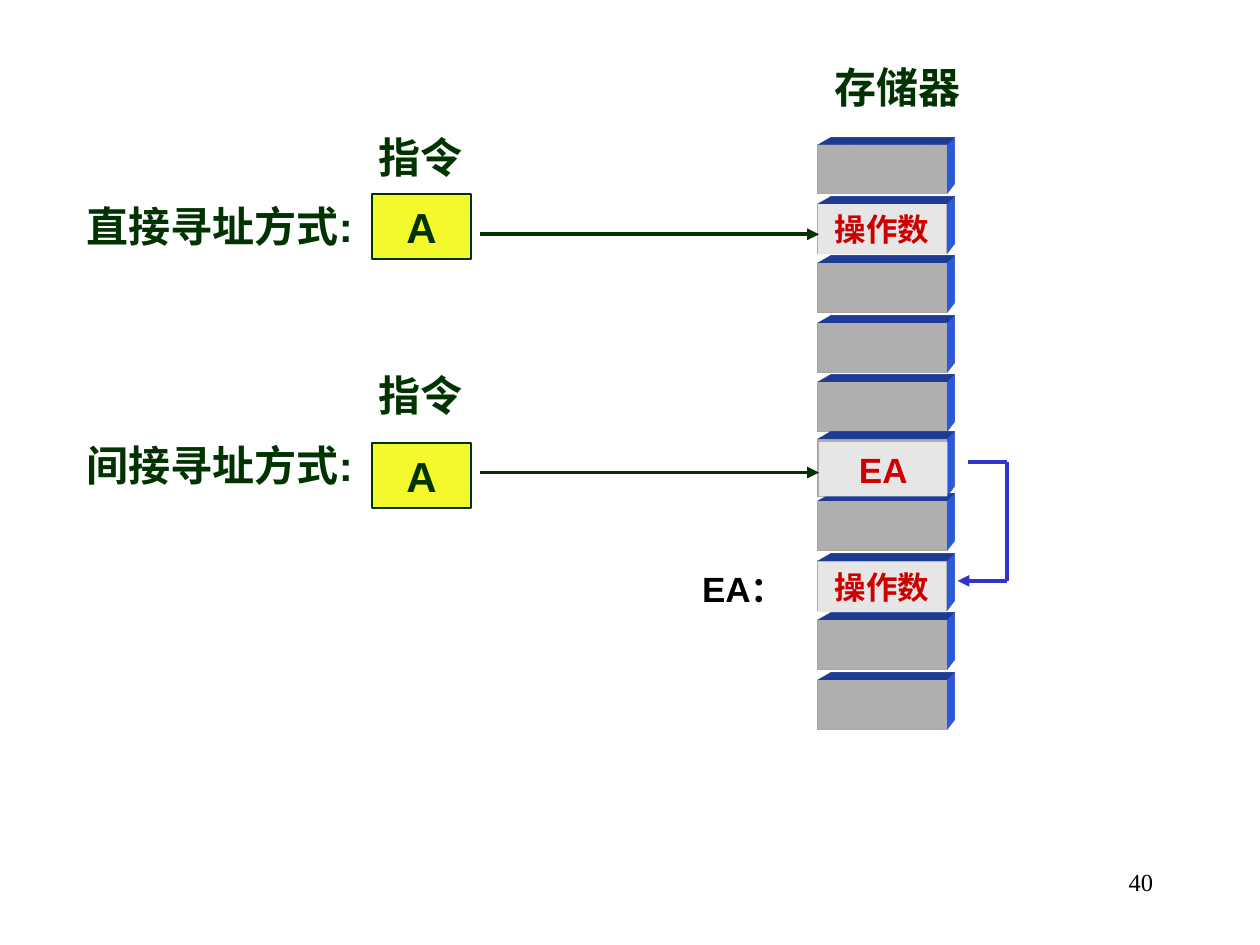
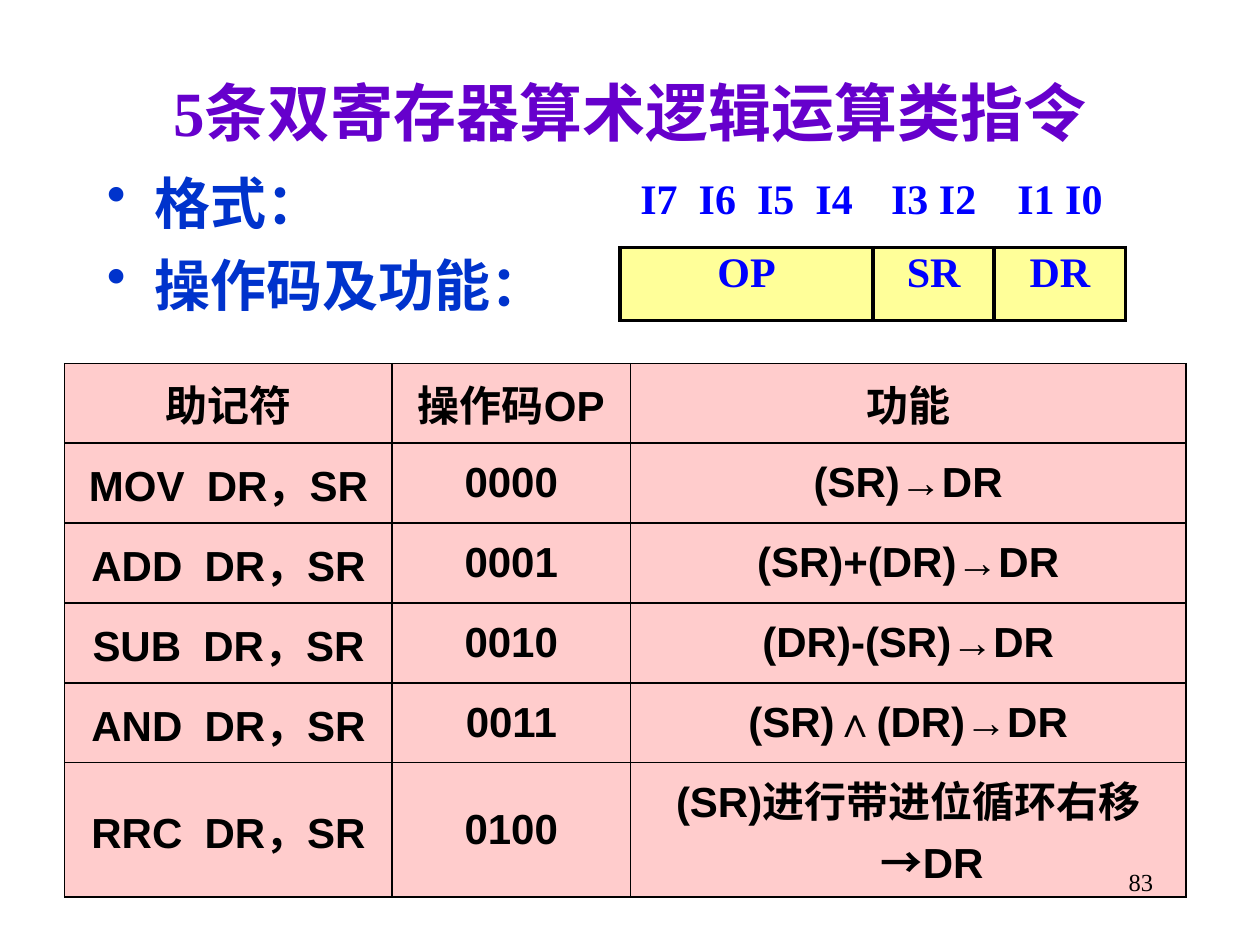
from lxml.etree import SubElement
from pptx import Presentation
from pptx.dml.color import RGBColor
from pptx.enum.lang import MSO_LANGUAGE_ID
from pptx.enum.shapes import MSO_CONNECTOR, MSO_SHAPE
from pptx.enum.text import MSO_ANCHOR, PP_ALIGN
from pptx.oxml.ns import qn
from pptx.util import Emu, Inches, Pt

GREEN = RGBColor(0x00, 0x33, 0x00)
RED = RGBColor(0xCC, 0x00, 0x00)
BLACK = RGBColor(0x00, 0x00, 0x00)
PURPLE = RGBColor(0x66, 0x00, 0xCC)
HEADING_BLUE = RGBColor(0x00, 0x33, 0xCC)
BIT_BLUE = RGBColor(0x00, 0x00, 0xFF)
POINTER_BLUE = RGBColor(0x33, 0x33, 0xCC)
DEPTH_BLUE = RGBColor(0x33, 0x66, 0xFF)
YELLOW = RGBColor(0xF4, 0xF9, 0x2D)
PALE_YELLOW = RGBColor(0xFF, 0xFF, 0x99)
PINK = RGBColor(0xFF, 0xCC, 0xCC)
LIGHT_GREY = RGBColor(0xE6, 0xE6, 0xE6)
SANS, SERIF = "Arial", "Times New Roman"

# The slide is a grid of 100 columns by 75 rows with square cells
prs = Presentation()
prs.slide_width, prs.slide_height = Inches(10), Inches(7.5)
UNIT = prs.slide_width / 100


def grid(*lengths):
    return [Emu(round(length * UNIT)) for length in lengths]


def write(frame, text, size=24, color=GREEN, font=SANS, bold=True,
          align=PP_ALIGN.CENTER, anchor=MSO_ANCHOR.TOP, hanging=0,
          bullet=None, line_spacing=None, gap=0, word_gap=0):
    """Fill a frame, one paragraph a line; word_gap widens spaces, in points."""
    frame.word_wrap = True
    frame.vertical_anchor = anchor
    for number, line in enumerate(text.split("\n")):
        paragraph = frame.add_paragraph() if number else frame.paragraphs[0]
        props = paragraph._p.get_or_add_pPr()
        if hanging:
            indent, = grid(hanging)
            props.set("marL", str(indent))
            props.set("indent", str(-indent))
        if bullet:
            SubElement(props, qn("a:buChar")).set("char", bullet)
        paragraph.alignment = align
        paragraph.line_spacing = line_spacing
        paragraph.space_before = Pt(gap if number else 0)
        pieces = line.replace(" ", "| |").split("|") if word_gap else [line]
        for piece in pieces:
            run = paragraph.add_run()
            run.text = piece
            run.font.size, run.font.bold, run.font.name = Pt(size), bold, font
            run.font.color.rgb = color
            run.font.language_id = MSO_LANGUAGE_ID.SIMPLIFIED_CHINESE
            if piece == " ":
                run._r.get_or_add_rPr().set("spc", str(word_gap * 100))


blank = prs.slide_layouts[6]
addressing = prs.slides.add_slide(blank)
registers = prs.slides.add_slide(blank)

# Memory: a stack of ten extruded blocks
FRONT_LEFT, FRONT_WIDTH, FRONT_HEIGHT = 64.9, 10.2, 3.9
FIRST_BLOCK, BLOCK_PITCH = 11.5, 4.72
POINTER_BLOCK = 5
for number in range(10):
    top, height = FIRST_BLOCK + number * BLOCK_PITCH, FRONT_HEIGHT
    if number == POINTER_BLOCK:
        top, height = top - 0.2, 4.5
    block = addressing.shapes.add_shape(
        MSO_SHAPE.RECTANGLE, *grid(FRONT_LEFT, top, FRONT_WIDTH, height))
    block.fill.solid()
    block.fill.fore_color.rgb = LIGHT_GREY
    block.line.fill.background()
    block.shadow.inherit = False
    scene = SubElement(block._element.spPr, qn("a:scene3d"))
    SubElement(scene, qn("a:camera")).set("prst", "legacyPerspectiveTopRight")
    light = SubElement(scene, qn("a:lightRig"))
    light.set("rig", "legacyFlat3")
    light.set("dir", "b")
    solid = SubElement(block._element.spPr, qn("a:sp3d"))
    solid.set("extrusionH", "430200")
    solid.set("prstMaterial", "legacyMatte")
    for bevel in ("a:bevelT", "a:bevelB"):
        rim = SubElement(solid, qn(bevel))
        rim.set("w", "13500")
        rim.set("h", "13500")
        rim.set("prst", "angle")
    depth = SubElement(solid, qn("a:extrusionClr"))
    SubElement(depth, qn("a:srgbClr")).set("val", str(DEPTH_BLUE))

# Instruction addresses and memory contents
OPERAND = dict(size=18, color=RED)
ADDRESS = dict(anchor=MSO_ANCHOR.MIDDLE)
for text, place, fill, border, style in [
    ("A", (29.5, 15.4, 7.9, 5.15), YELLOW, GREEN, ADDRESS),
    ("A", (29.5, 35.15, 7.9, 5.15), YELLOW, GREEN, ADDRESS),
    ("操作数", (FRONT_LEFT, 16.2, FRONT_WIDTH, 4), LIGHT_GREY, None, OPERAND),
    ("EA", (65, 35.1, FRONT_WIDTH, 4.3), LIGHT_GREY, None,
     dict(size=20, color=RED)),
    ("操作数", (FRONT_LEFT, 44.6, FRONT_WIDTH, 4), LIGHT_GREY, None, OPERAND),
]:
    field = addressing.shapes.add_shape(MSO_SHAPE.RECTANGLE, *grid(*place))
    field.shadow.inherit = False
    field.fill.solid()
    field.fill.fore_color.rgb = fill
    if border:
        field.line.color.rgb, field.line.width = border, Pt(1)
    else:
        field.line.fill.background()
    write(field.text_frame, text, **style)

# Access arrows, and the pointer path from EA to its operand
for start, end, color, has_head in [
    ((38.1, 18.6), (65, 18.6), GREEN, True),
    ((38.1, 37.5), (65, 37.5), GREEN, True),
    ((76.8, 36.7), (79.9, 36.7), POINTER_BLUE, False),
    ((79.9, 36.7), (79.9, 46.1), POINTER_BLUE, False),
    ((79.9, 46.1), (76, 46.1), POINTER_BLUE, True),
]:
    arrow = addressing.shapes.add_connector(
        MSO_CONNECTOR.STRAIGHT, *grid(*start, *end))
    arrow.line.color.rgb, arrow.line.width = color, Pt(2.25)
    if has_head:
        SubElement(arrow.line._get_or_add_ln(), qn("a:tailEnd")).set("type", "triangle")
    SubElement(arrow._element.spPr, qn("a:effectLst"))

# Opcode format and instruction set tables; the first column has wide word gaps
FORMAT = dict(
    place=(49.2, 13.85), widths=(20.1, 9.6, 10.45), heights=(5.8, 5.8),
    rows=[("I7 I6 I5 I4", "I3 I2", "I1 I0"), ("OP", "SR", "DR")],
    fills=[None, PALE_YELLOW], sides=["B", "LRTB"], border=2.25, margin=0.2,
    text=dict(font=SERIF, color=BIT_BLUE))
INSTRUCTIONS = dict(
    place=(5.13, 28.85), widths=(26, 18.9, 44.1),
    heights=(6.3, 6.35, 6.35, 6.35, 6.35, 7.5),
    rows=[("助记符", "操作码OP", "功能"),
          ("MOV DR，SR", "0000", "(SR)→DR"),
          ("ADD DR，SR", "0001", "(SR)+(DR)→DR"),
          ("SUB DR，SR", "0010", "(DR)-(SR)→DR"),
          ("AND DR，SR", "0011", "(SR)∧(DR)→DR"),
          ("RRC DR，SR", "0100", "(SR)进行带进位循环右移→DR")],
    fills=[PINK] * 6, sides=["LRTB"] * 6, border=1, margin=None,
    text=dict(color=BLACK, hanging=3.8))
for spec in (FORMAT, INSTRUCTIONS):
    table = registers.shapes.add_table(
        len(spec["rows"]), len(spec["widths"]),
        *grid(*spec["place"], sum(spec["widths"]), sum(spec["heights"]))).table
    table.first_row = table.horz_banding = False
    for column, width in zip(table.columns, grid(*spec["widths"])):
        column.width = width
    for r, (row, height) in enumerate(zip(table.rows, grid(*spec["heights"]))):
        row.height = height
        for c, cell in enumerate(row.cells):
            write(cell.text_frame, spec["rows"][r][c],
                  word_gap=0 if c else 6, **spec["text"])
            if spec["margin"]:
                margin, = grid(spec["margin"])
                cell.margin_left = cell.margin_right = margin
                cell.margin_top = cell.margin_bottom = margin
            else:
                cell.vertical_anchor = MSO_ANCHOR.MIDDLE
            for side in spec["sides"][r]:
                edge = SubElement(cell._tc.get_or_add_tcPr(), qn("a:ln" + side))
                edge.set("w", str(Pt(spec["border"])))
                paint = SubElement(edge, qn("a:solidFill"))
                SubElement(paint, qn("a:srgbClr")).set("val", str(BLACK))
            if spec["fills"][r]:
                cell.fill.solid()
                cell.fill.fore_color.rgb = spec["fills"][r]
            else:
                cell.fill.background()

# Labels, headings and page numbers
LEFT = dict(align=PP_ALIGN.LEFT)
PAGE_PLACE = (71.7, 68.3, 20.8, 5)
PAGE = dict(size=14, color=BLACK, font=SERIF, bold=False, align=PP_ALIGN.RIGHT)
for slide, text, place, style in [
    (addressing, "存储器", (64.9, 4.4, 12.6, 5), {}),
    (addressing, "指令", (27.9, 9.95, 11, 5), {}),
    (addressing, "直接寻址方式:", (5.9, 15.45, 25.2, 5), LEFT),
    (addressing, "指令", (27.9, 28.8, 11, 5), {}),
    (addressing, "间接寻址方式:", (5.9, 34.4, 25.2, 5), LEFT),
    (addressing, "EA：", (53.95, 44.55, 10.2, 4.3), dict(size=20, color=BLACK)),
    (addressing, "40", PAGE_PLACE, PAGE),
    (registers, "5条双寄存器算术逻辑运算类指令", (7.5, 5.2, 85, 7.2),
     dict(size=36, color=PURPLE, font=SERIF, anchor=MSO_ANCHOR.MIDDLE)),
    (registers, "格式：\n操作码及功能：", (7.5, 13.9, 42.5, 12.6),
     dict(size=32, color=HEADING_BLUE, font=SERIF, hanging=3.8, bullet="•",
          line_spacing=0.8, gap=16, **LEFT)),
    (registers, "83", PAGE_PLACE, PAGE),
]:
    label = slide.shapes.add_textbox(*grid(*place))
    write(label.text_frame, text, **style)

prs.save("out.pptx")
